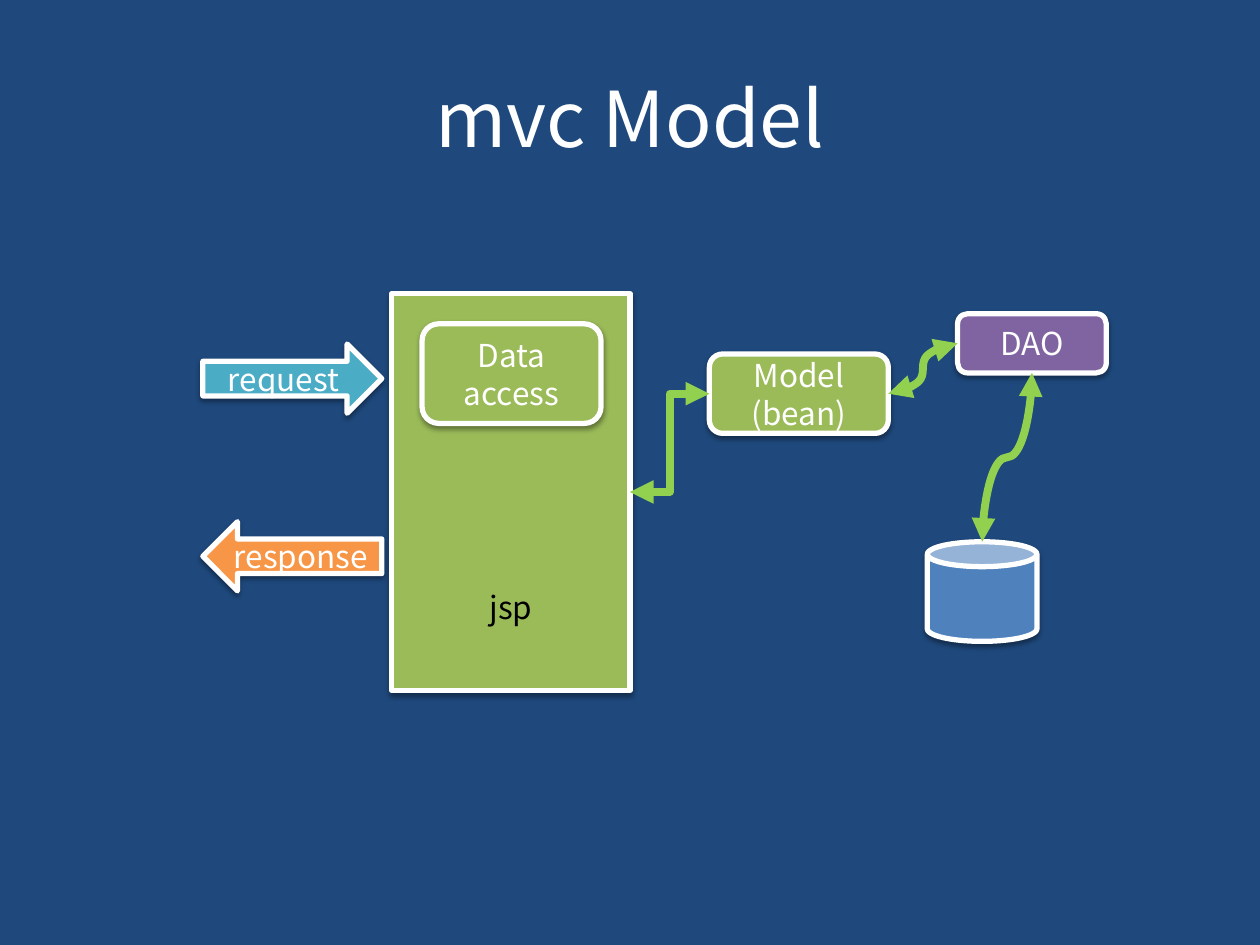
"""Build the mvc Model slide: a request flow through jsp, bean, DAO and database."""
from dataclasses import dataclass
from typing import Optional

from lxml.etree import SubElement
from pptx import Presentation
from pptx.dml.color import RGBColor
from pptx.enum.shapes import MSO_CONNECTOR as Link, MSO_SHAPE as Preset
from pptx.enum.text import MSO_ANCHOR as Anchor, PP_ALIGN as Align
from pptx.oxml.ns import qn
from pptx.util import Inches, Pt

FONT = "Noto Sans CJK KR"
NAVY = RGBColor(0x1F, 0x49, 0x7D)
WHITE = RGBColor(0xFF, 0xFF, 0xFF)
BLACK = RGBColor(0x00, 0x00, 0x00)
GREEN = RGBColor(0x9B, 0xBB, 0x59)
LIME = RGBColor(0x92, 0xD0, 0x50)
BLUE = RGBColor(0x4F, 0x81, 0xBD)
TEAL = RGBColor(0x4B, 0xAC, 0xC6)
ORANGE = RGBColor(0xF7, 0x96, 0x46)
PURPLE = RGBColor(0x80, 0x64, 0xA2)


@dataclass(frozen=True)
class Node:
    name: str
    preset: Preset
    left: float
    top: float
    width: float
    height: float
    fill: Optional[RGBColor]
    text: str = ""
    color: RGBColor = WHITE
    line: RGBColor = WHITE
    line_width: float = 3


@dataclass(frozen=True)
class Route:
    kind: Link
    start: str
    start_site: int
    end: str
    end_site: int
    vertical: bool = False


NODES = [
    Node("page", Preset.RECTANGLE, 3.11, 2.33, 1.89, 3.15, GREEN),
    Node("database", Preset.CAN, 7.36, 4.3, 0.87, 0.79, BLUE),
    Node("request", Preset.RIGHT_ARROW, 1.61, 2.73, 1.42, 0.55, TEAL, "request"),
    Node("response", Preset.LEFT_ARROW, 1.61, 4.14, 1.42, 0.55, ORANGE, "response"),
    Node("access", Preset.ROUNDED_RECTANGLE, 3.35, 2.57, 1.42, 0.79, GREEN, "Data\naccess"),
    Node("model", Preset.ROUNDED_RECTANGLE, 5.63, 2.81, 1.42, 0.63, GREEN, "Model\n(bean)"),
    Node("jsp", Preset.ROUNDED_RECTANGLE, 3.74, 4.62, 0.63, 0.39, None, "jsp", BLACK, GREEN, 2),
    Node("dao", Preset.ROUNDED_RECTANGLE, 7.6, 2.49, 1.18, 0.47, PURPLE, "DAO"),
]
ROUTES = [
    Route(Link.CURVE, "model", 3, "dao", 1),
    Route(Link.ELBOW, "page", 3, "model", 1),
    Route(Link.CURVE, "database", 1, "dao", 2, vertical=True),
]


def write_text(box, text: str, *, size: float, color: RGBColor) -> None:
    """Fill a box with centred paragraphs, one per line of text."""
    frame = box.text_frame
    frame.word_wrap = True
    frame.vertical_anchor = Anchor.MIDDLE
    frame.text = text
    for para in frame.paragraphs:
        para.alignment = Align.CENTER
        for span in para.runs:
            span.font.name = FONT
            span.font.size = Pt(size)
            span.font.color.rgb = color


def add_shadow(shape) -> None:
    """Give a shape a soft black shadow straight below it."""
    shape.shadow.inherit = False
    effects = shape._element.spPr.find(qn("a:effectLst"))
    shadow = SubElement(effects, qn("a:outerShdw"), blurRad=str(Pt(3.1)),
                        dist=str(Pt(1.6)), dir="5400000", rotWithShape="0")
    tint = SubElement(shadow, qn("a:srgbClr"), val=str(BLACK))
    SubElement(tint, qn("a:alpha"), val="38000")


def add_node(page, node: Node):
    """Draw one node of the diagram and return its shape."""
    shape = page.shapes.add_shape(node.preset, Inches(node.left), Inches(node.top),
                                  Inches(node.width), Inches(node.height))
    shape.line.color.rgb = node.line
    shape.line.width = Pt(node.line_width)
    if node.fill is None:
        shape.fill.background()
        shape.shadow.inherit = False
    else:
        shape.fill.solid()
        shape.fill.fore_color.rgb = node.fill
        add_shadow(shape)
    if node.text:
        write_text(shape, node.text, size=18, color=node.color)
    return shape


def stand_upright(connector, lower, upper) -> None:
    """Turn a connector so that it leaves and arrives vertically."""
    start_x, end_x = (box.left + box.width // 2 for box in (lower, upper))
    start_y, end_y = lower.top, upper.top + upper.height
    length, breadth = start_y - end_y, end_x - start_x
    connector.left = (start_x + end_x - length) // 2
    connector.top = (start_y + end_y - breadth) // 2
    connector.width, connector.height = length, breadth
    frame = connector._element.spPr.find(qn("a:xfrm"))
    for key, value in (("rot", "5400000"), ("flipH", "1"), ("flipV", "1")):
        frame.set(key, value)


def add_route(page, route: Route, shapes: dict) -> None:
    """Join two nodes with a double-headed connector."""
    start, end = shapes[route.start], shapes[route.end]
    connector = page.shapes.add_connector(route.kind, start.left, start.top, end.left, end.top)
    connector.begin_connect(start, route.start_site)
    connector.end_connect(end, route.end_site)
    if route.vertical:
        stand_upright(connector, start, end)
    connector.line.color.rgb = LIME
    connector.line.width = Pt(4.5)
    outline = connector.line._get_or_add_ln()
    for tip in ("a:headEnd", "a:tailEnd"):
        SubElement(outline, qn(tip), type="triangle")
    SubElement(connector._element.spPr, qn("a:effectLst"))


def main() -> None:
    """Build the deck and save it."""
    deck = Presentation()
    deck.slide_width, deck.slide_height = Inches(10), Inches(7.5)
    page = deck.slides.add_slide(deck.slide_layouts[6])
    page.background.fill.solid()
    page.background.fill.fore_color.rgb = NAVY
    title = page.shapes.add_textbox(Inches(0.5), Inches(0.3), Inches(9), Inches(1.25))
    write_text(title, "mvc Model", size=44, color=WHITE)
    shapes = {node.name: add_node(page, node) for node in NODES}
    for route in ROUTES:
        add_route(page, route, shapes)
    deck.save("out.pptx")


if __name__ == "__main__":
    main()
